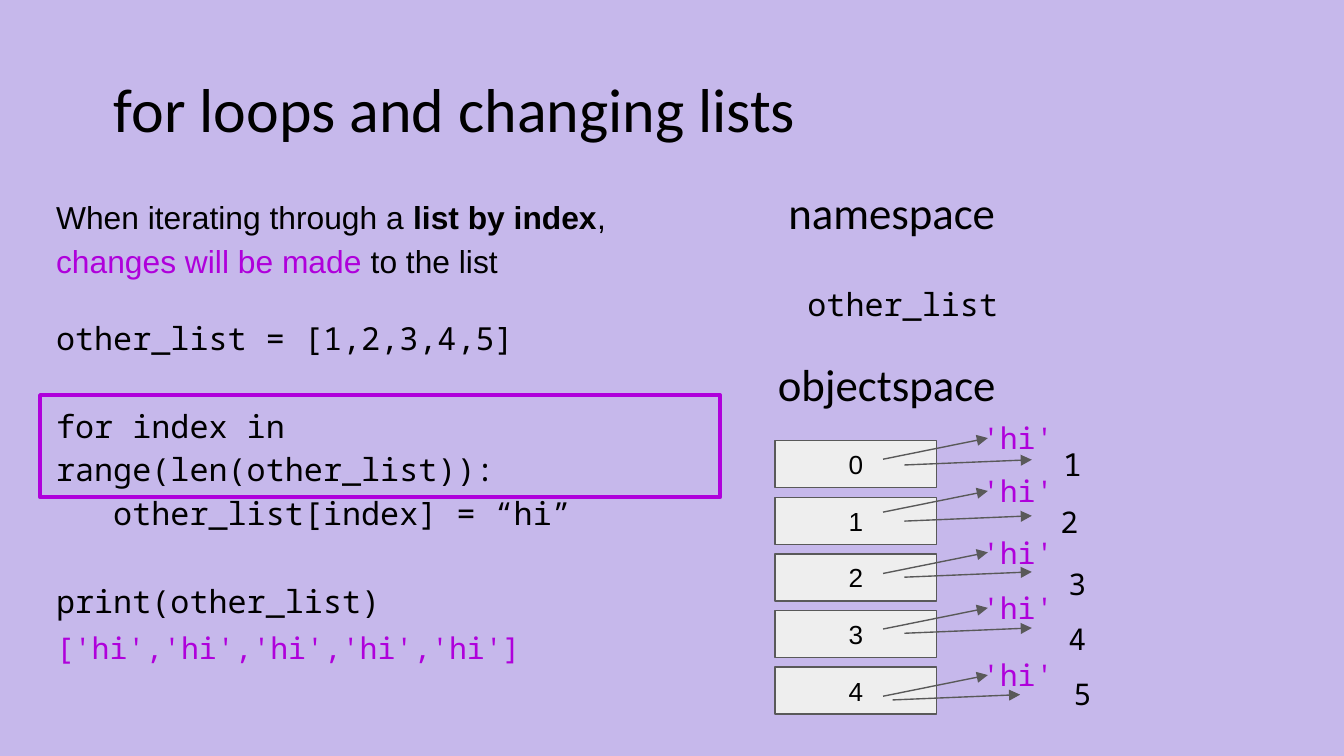
from dataclasses import dataclass

import pptx
import pptx.dml.color
import pptx.enum.shapes
import pptx.enum.text
import pptx.oxml
import pptx.oxml.ns
import pptx.util

Cm = pptx.util.Cm
Pt = pptx.util.Pt


@dataclass(frozen=True)
class Theme:
    back: str = "C6B8EB"
    ink: str = "000000"
    pop: str = "AF00DB"
    cell: str = "EEEEEE"
    edge: str = "595959"
    head: str = "Calibri"
    body: str = "Arial"
    mono: str = "Noto Sans Mono"
    title: float = 33.2
    label: float = 24
    text: float = 17
    value: float = 16
    small: float = 14
    lead: float = 1.15
    gap: float = 23.5


T = Theme()


def rgb(code):
    return pptx.dml.color.RGBColor.from_string(code)


def add_run(para, words, font, size, color=T.ink, bold=False):
    run = para.add_run()
    run.text = words
    run.font.name = font
    run.font.size = Pt(size)
    run.font.bold = bold
    run.font.color.rgb = rgb(color)


def set_frame(frame, anchor=pptx.enum.text.MSO_ANCHOR.TOP):
    frame.word_wrap = True
    frame.auto_size = pptx.enum.text.MSO_AUTO_SIZE.NONE
    frame.vertical_anchor = anchor
    frame.margin_left = frame.margin_right = Cm(0.25)
    frame.margin_top = frame.margin_bottom = Cm(0.25)


def add_box(slide, left, top, width, height):
    box = slide.shapes.add_textbox(Cm(left), Cm(top), Cm(width), Cm(height))
    set_frame(box.text_frame)
    return box.text_frame


def add_label(slide, box, words, font, size, color=T.ink, lead=T.lead):
    para = add_box(slide, *box).paragraphs[0]
    para.line_spacing = lead
    add_run(para, words, font, size, color)


def add_rect(slide, box, line, weight, fill=None):
    kind = pptx.enum.shapes.MSO_SHAPE.RECTANGLE
    rect = slide.shapes.add_shape(kind, *(Cm(n) for n in box))
    rect.shadow.inherit = False
    if fill:
        rect.fill.solid()
        rect.fill.fore_color.rgb = rgb(fill)
    else:
        rect.fill.background()
    rect.line.color.rgb = rgb(line)
    rect.line.width = Pt(weight)
    return rect


def add_arrow(slide, left, top, right, end):
    kind = pptx.enum.shapes.MSO_CONNECTOR.STRAIGHT
    arrow = slide.shapes.add_connector(kind, Cm(left), Cm(top), Cm(right), Cm(end))
    arrow.line.color.rgb = rgb(T.edge)
    arrow.line.width = Pt(0.75)
    tip = pptx.oxml.parse_xml(
        f'<a:tailEnd {pptx.oxml.ns.nsdecls("a")} type="triangle"/>')
    arrow.line._get_or_add_ln().append(tip)
    flat = pptx.oxml.parse_xml(f'<a:effectLst {pptx.oxml.ns.nsdecls("a")}/>')
    arrow._element.spPr.append(flat)


def draw_head(slide, left, top, width, height):
    title = slide.shapes.title
    title.left, title.top = Cm(left), Cm(top)
    title.width, title.height = Cm(width), Cm(height)
    set_frame(title.text_frame)
    para = title.text_frame.paragraphs[0]
    para.alignment = pptx.enum.text.PP_ALIGN.LEFT
    add_run(para, "for loops and changing lists", T.head, T.title)


def draw_lesson(slide, left, top, width):
    # Rule in words
    para = add_box(slide, left, top, width, 2.08).paragraphs[0]
    para.line_spacing = T.lead
    for words, color, bold in (
        ("When iterating through a ", T.ink, False),
        ("list by index", T.ink, True),
        (", ", T.ink, False),
        ("changes will be made", T.pop, False),
        (" to the list", T.ink, False),
    ):
        add_run(para, words, T.body, T.text, color, bold)

    # Code, with a gap above each new block
    frame = add_box(slide, left, top + 2.29, width - 0.28, 5.41)
    for i, (words, gap) in enumerate((
        ("other_list = [1,2,3,4,5]", 0),
        ("for index in range(len(other_list)):", T.gap),
        ("   other_list[index] = “hi”", 0),
        ("print(other_list)", T.gap),
    )):
        para = frame.add_paragraph() if i else frame.paragraphs[0]
        para.line_spacing = T.lead
        para.space_before = Pt(gap)
        add_run(para, words, T.mono, T.text)

    # Printed result and the frame round the loop
    add_label(slide, (left, top + 8.18, 9.75, 1.19),
              "['hi','hi','hi','hi','hi']", T.mono, T.value, T.pop)
    add_rect(slide, (left - 0.05, top + 4.09, width, 1.93), T.pop, 2.25)


def draw_memory(slide, left, top):
    # Names
    add_label(slide, (left + 0.2, top, 4.6, 1.55), "namespace",
              T.head, T.label, lead=1)
    add_label(slide, (left + 0.56, top + 1.78, 4.7, 1.24), "other_list",
              T.mono, T.text)
    add_label(slide, (left, top + 3.25, 5, 1.55), "objectspace",
              T.head, T.label, lead=1)

    # List cells
    for i in range(5):
        cell = add_rect(slide, (left + 0.2, top + 5.08 + 1.07 * i, 3.05, 0.89),
                        T.edge, 0.75, T.cell)
        set_frame(cell.text_frame, pptx.enum.text.MSO_ANCHOR.MIDDLE)
        para = cell.text_frame.paragraphs[0]
        para.alignment = pptx.enum.text.PP_ALIGN.CENTER
        add_run(para, str(i), T.body, T.small)

    # First values: text x, text y, size, arrow x, arrow y
    for i, (x, y, size, tail, line) in enumerate((
        (5.39, 4.8, T.text, 2.64, 5.54),
        (5.34, 5.92, T.value, 2.64, 6.6),
        (5.49, 7.09, T.value, 2.64, 7.66),
        (5.49, 8.13, T.value, 2.64, 8.72),
        (5.59, 9.17, T.value, 2.42, 9.98),
    ), 1):
        add_label(slide, (left + x, top + y, 1.27, 1.22), str(i), T.mono, size)
        add_arrow(slide, left + tail, top + line,
                  left + tail + 2.41, top + line - 0.1)

    # New values
    for y in (4.34, 5.34, 6.5, 7.55, 8.82):
        add_label(slide, (left + 3.86, top + y, 2.18, 1.19), "'hi'",
                  T.mono, T.value, T.pop)
        add_arrow(slide, left + 2.24, top + y + 1.09,
                  left + 4.22, top + y + 0.69)


def main():
    deck = pptx.Presentation()
    deck.slide_width, deck.slide_height = Cm(25.4), Cm(14.29)
    slide = deck.slides.add_slide(deck.slide_layouts.get_by_name("Title Only"))
    slide.background.fill.solid()
    slide.background.fill.fore_color.rgb = rgb(T.back)
    draw_head(slide, 1.9, 1.09, 18.31, 1.93)
    draw_lesson(slide, 0.81, 3.38, 12.85)
    draw_memory(slide, 14.45, 3.25)
    deck.save("out.pptx")


if __name__ == "__main__":
    main()
